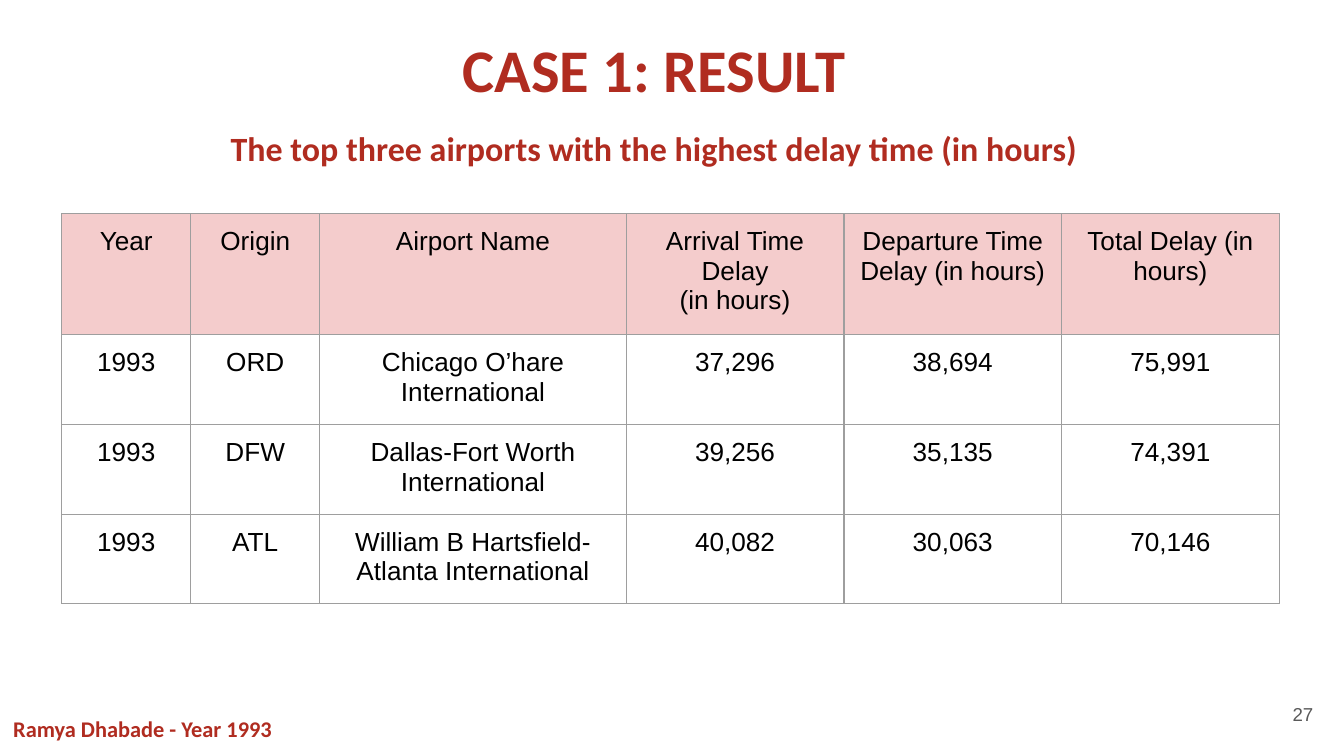
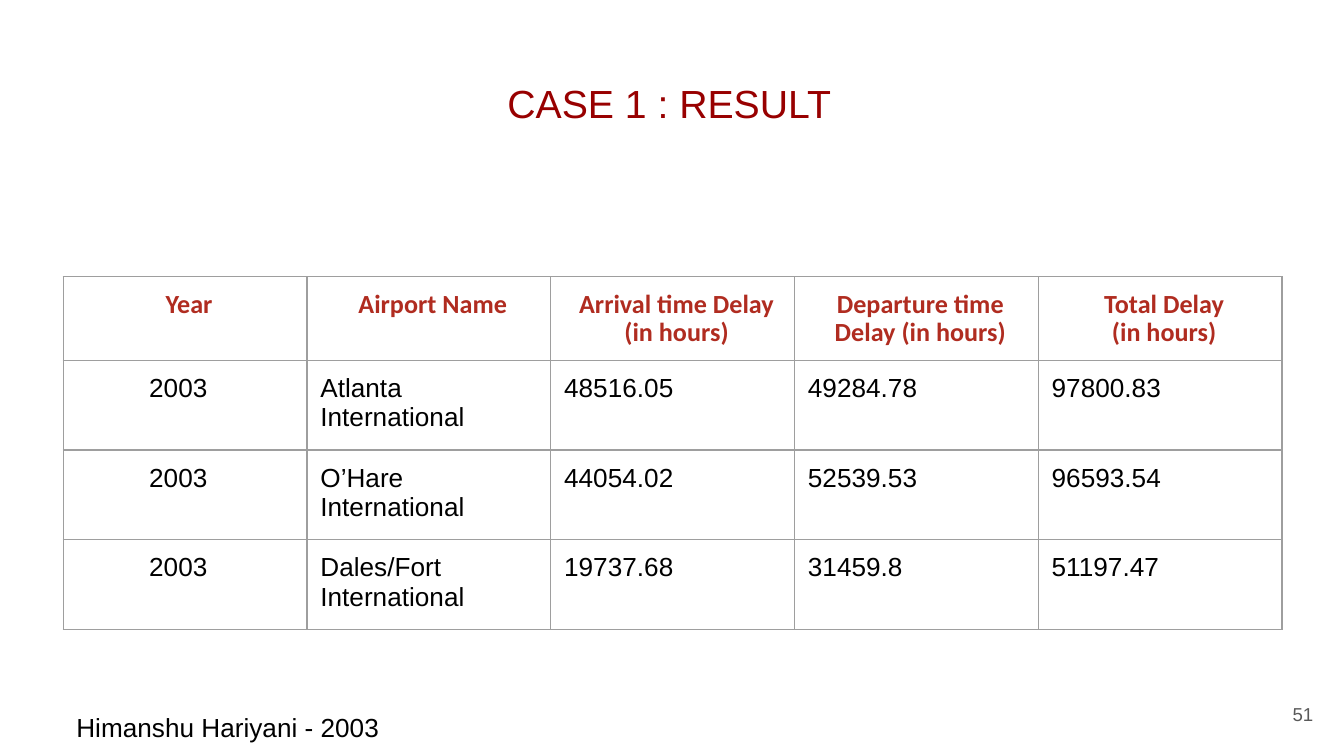
from typing import NamedTuple, Optional

from lxml.etree import SubElement
from pptx import Presentation
from pptx.dml.color import RGBColor
from pptx.enum.text import MSO_ANCHOR, PP_ALIGN
from pptx.oxml.ns import qn
from pptx.util import Inches, Pt

# Shared colours, sizes and text styles
RED = RGBColor(0xB0, 0x2C, 0x20)
DARK_RED = RGBColor(0x98, 0x00, 0x00)
BLACK = RGBColor(0x00, 0x00, 0x00)
GREY = RGBColor(0x59, 0x59, 0x59)
BORDER = RGBColor(0x9E, 0x9E, 0x9E)
PINK = RGBColor(0xF4, 0xCC, 0xCC)
INSET = Inches(0.1)
ROW_HEIGHT = Inches(0.62)
FRAME_SIZE = Inches(3.28)


class Style(NamedTuple):
    size: float
    font: str = "Arial"
    color: RGBColor = BLACK
    bold: bool = False
    align: PP_ALIGN = PP_ALIGN.LEFT
    spacing: Optional[float] = None
    indent: float = 0


TITLE = Style(32.4, "Calibri", RED, True, PP_ALIGN.CENTER, 0.9)
SUBTITLE = TITLE._replace(size=18.2)
PLAIN_TITLE = Style(21, color=DARK_RED, align=PP_ALIGN.CENTER)
PAGE_NUMBER = Style(10, color=GREY, align=PP_ALIGN.RIGHT)
BODY = Style(14)
BODY_CENTER = BODY._replace(align=PP_ALIGN.CENTER)
BODY_INDENTED = BODY._replace(indent=0.54)
RED_HEADER = TITLE._replace(size=14, indent=0.06)
RED_FOOTER = Style(12, "Calibri", RED, True)


def style_paragraph(p, style):
    p.alignment = style.align
    if style.spacing:
        p.line_spacing = style.spacing
    if style.indent:
        pPr = p._p.get_or_add_pPr()
        pPr.set("marL", str(Inches(style.indent)))
        pPr.set("indent", "0")
    for r in p.runs:
        r.font.size = Pt(style.size)
        r.font.name = style.font
        r.font.color.rgb = style.color
        r.font.bold = style.bold


def add_text(slide, box, text, style, anchor=MSO_ANCHOR.TOP):
    tf = slide.shapes.add_textbox(*map(Inches, box)).text_frame
    tf.word_wrap = True
    tf.vertical_anchor = anchor
    tf.margin_left = tf.margin_right = tf.margin_top = tf.margin_bottom = INSET
    tf.text = text
    for p in tf.paragraphs:
        style_paragraph(p, style)
    return tf


def add_page_number(slide, number):
    add_text(slide, (9.27, 5.1, 0.6, 0.43), number, PAGE_NUMBER, MSO_ANCHOR.MIDDLE)


def add_borders(cell):
    tcPr = cell._tc.get_or_add_tcPr()
    for side in ("a:lnL", "a:lnR", "a:lnT", "a:lnB"):
        ln = SubElement(tcPr, qn(side), w=str(Pt(0.75)))
        fill = SubElement(ln, qn("a:solidFill"))
        SubElement(fill, qn("a:srgbClr"), val=str(BORDER))


def fill_cell(cell, text, style, color=None):
    cell.margin_left = cell.margin_right = INSET
    cell.margin_top = cell.margin_bottom = INSET
    add_borders(cell)
    if color is None:
        cell.fill.background()
    else:
        cell.fill.solid()
        cell.fill.fore_color.rgb = color
    cell.text_frame.text = text
    for p in cell.text_frame.paragraphs:
        style_paragraph(p, style)


def add_delay_table(slide, left, top, widths, rows, header_style, column_styles,
                    header_fill=None):
    frame = slide.shapes.add_table(
        len(rows), len(widths), Inches(left), Inches(top), FRAME_SIZE, FRAME_SIZE)
    table = frame.table
    table.first_row = table.horz_banding = False
    for column, width in zip(table.columns, widths):
        column.width = Inches(width)
    for i, row in enumerate(rows):
        table.rows[i].height = ROW_HEIGHT
        for j, text in enumerate(row):
            if i == 0:
                fill_cell(table.cell(i, j), text, header_style, header_fill)
            else:
                fill_cell(table.cell(i, j), text, column_styles[j])
    # Row and column sizes change the frame, so its size is set last
    frame.width = frame.height = FRAME_SIZE


def build_1993(slide):
    tf = add_text(slide, (0.16, 0.2, 9.42, 0.88), "CASE 1: RESULT", TITLE)
    p = tf.add_paragraph()
    p.text = "The top three airports with the highest delay time (in hours)"
    p.space_before = Pt(14)
    style_paragraph(p, SUBTITLE)

    rows = [
        ("Year", "Origin", "Airport Name", "Arrival Time Delay\n(in hours)",
         "Departure Time Delay (in hours)", "Total Delay (in hours)"),
        ("1993", "ORD", "Chicago O’hare International", "37,296", "38,694", "75,991"),
        ("1993", "DFW", "Dallas-Fort Worth International", "39,256", "35,135", "74,391"),
        ("1993", "ATL", "William B Hartsfield-Atlanta International",
         "40,082", "30,063", "70,146"),
    ]
    widths = [0.96] * 2 + [2.28] + [1.62] * 3
    add_delay_table(slide, 0.46, 1.59, widths, rows, BODY_CENTER,
                    [BODY_CENTER] * 6, PINK)
    add_page_number(slide, "27")
    add_text(slide, (0, 5.22, 2.51, 0.4), "Ramya Dhabade - Year 1993", RED_FOOTER)


def build_2003(slide):
    add_text(slide, (0.34, 0.49, 9.28, 0.63), "CASE 1 : RESULT", PLAIN_TITLE)

    rows = [
        ("Year", "Airport Name", "Arrival time Delay (in hours)",
         "Departure time Delay (in hours)", "Total Delay\n(in hours)"),
        ("2003", "Atlanta International", "48516.05", "49284.78", "97800.83"),
        ("2003", "O’Hare International", "44054.02", "52539.53", "96593.54"),
        ("2003", "Dales/Fort International", "19737.68", "31459.8", "51197.47"),
    ]
    add_delay_table(slide, 0.47, 2.06, [9.07 / 5] * 5, rows, RED_HEADER,
                    [BODY_INDENTED] + [BODY] * 4)
    add_page_number(slide, "51")
    add_text(slide, (0.47, 5.19, 5.6, 0.44), "Himanshu Hariyani - 2003", BODY)


def main():
    prs = Presentation()
    prs.slide_width = Inches(10)
    prs.slide_height = Inches(10) * 9 // 16
    blank = prs.slide_layouts[6]
    build_1993(prs.slides.add_slide(blank))
    build_2003(prs.slides.add_slide(blank))
    prs.save("out.pptx")


if __name__ == "__main__":
    main()
